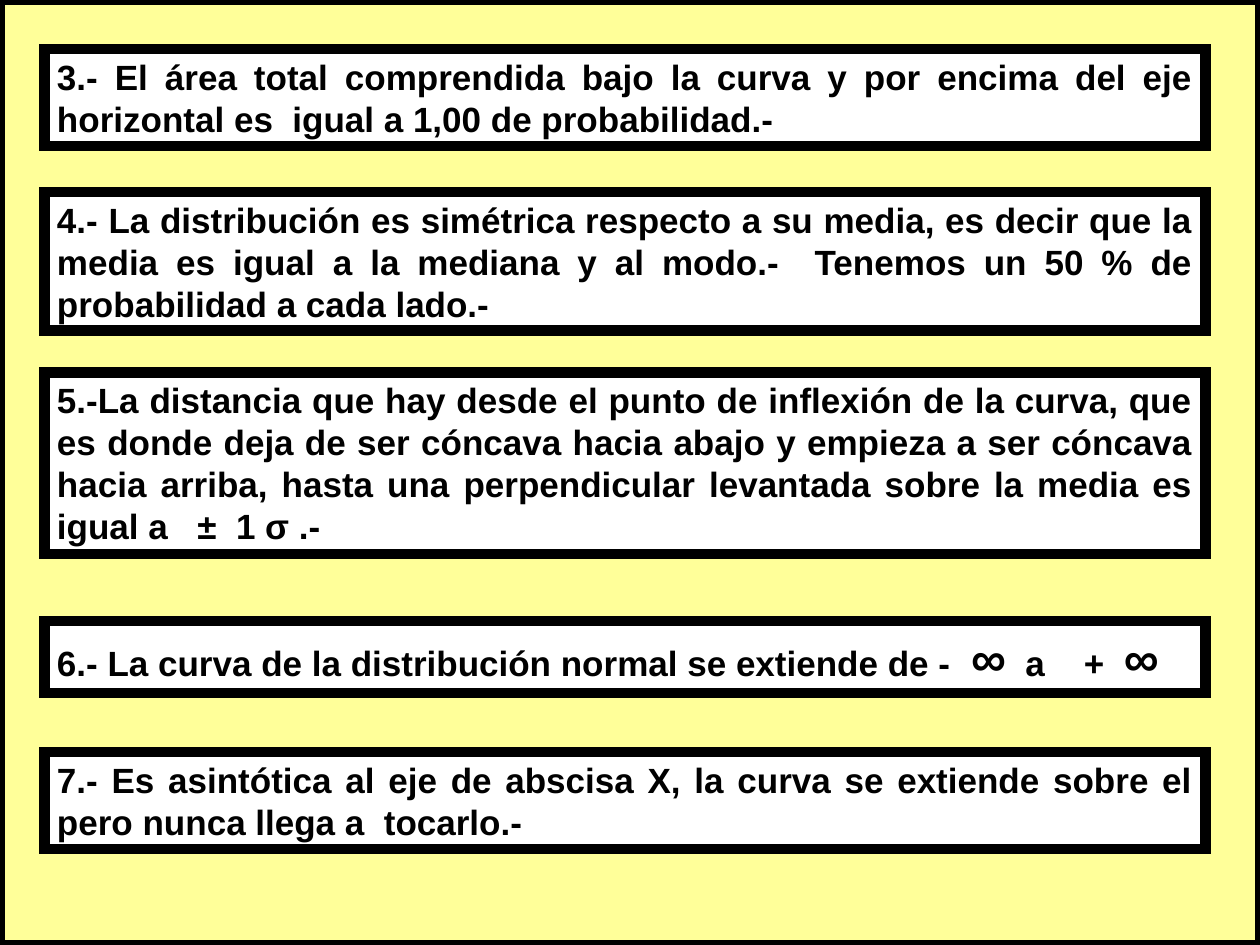
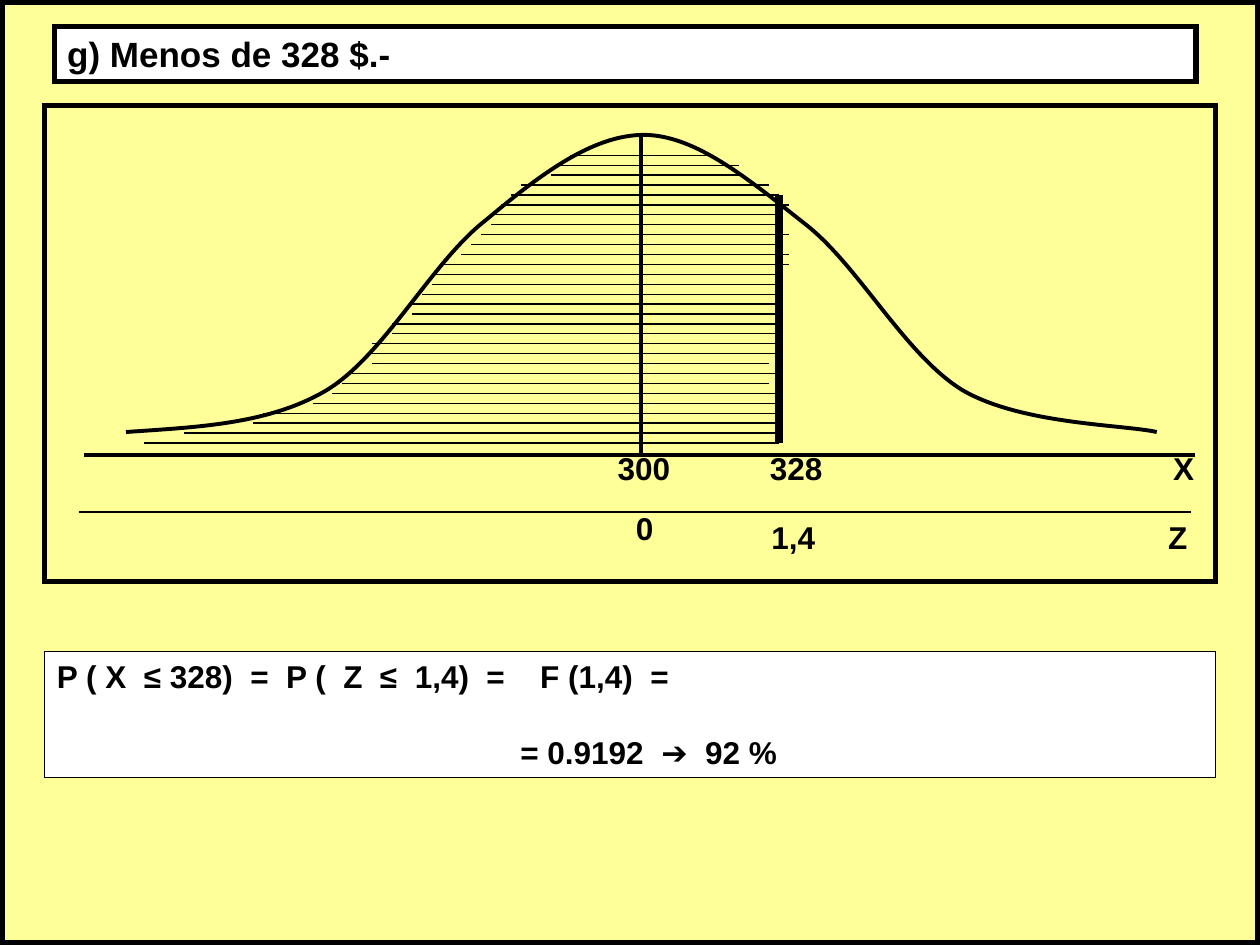
import pptx
import pptx.util
import pptx.dml.color
import pptx.enum.shapes
import pptx.enum.text
import pptx.oxml.ns
import lxml.etree

Cm, Pt = pptx.util.Cm, pptx.util.Pt
RGB = pptx.dml.color.RGBColor
KIND = pptx.enum.shapes.MSO_SHAPE
LINK = pptx.enum.shapes.MSO_CONNECTOR
ALIGN = pptx.enum.text.PP_ALIGN
FIT = pptx.enum.text.MSO_AUTO_SIZE
ANCHOR = pptx.enum.text.MSO_ANCHOR

# Shared look
YELLOW = RGB(0xFF, 0xFF, 0x99)
WHITE = RGB(0xFF, 0xFF, 0xFF)
BLACK = RGB(0, 0, 0)
FONT = "Arial"
WIDE, HIGH = 25.4, 19.05
LEFT = 0.9
BIG = {"∞": 28}

# Properties of the curve: top, height, tab stop, text runs
RULES = [
    (0.99, 1.96, None, ["3.- El área total comprendida bajo la curva y por encima del eje "
                        "horizontal es  igual a 1,00 de probabilidad.-"]),
    (3.87, 2.79, None, ["4.- La distribución es simétrica respecto a su media, es decir que la "
                        "media es igual a la mediana y al modo.-  Tenemos un 50 % de "
                        "probabilidad a cada lado.-"]),
    (7.51, 3.66, 2.83, ["5.-La distancia que hay desde el punto de inflexión de la curva, que "
                        "es donde deja de ser cóncava hacia abajo y empieza a ser cóncava "
                        "hacia arriba, hasta una perpendicular levantada sobre la media es "
                        "igual a\t±  1 σ .-"]),
    (12.52, 1.45, 20.7, ["6.- La curva de la distribución normal se extiende de -  ", "∞",
                         "  a\t+  ", "∞"]),
    (15.16, 1.96, None, ["7.- Es asintótica al eje de abscisa X, la curva se extiende sobre el "
                         "pero nunca llega a  tocarlo.-"]),
]

# Worked case
TITLE = "g) Menos de 328 $.-"
SUM = "P ( X  ≤ 328)  =  P (  Z  ≤  1,4)  =\tF (1,4)  ="
RESULT = "= 0.9192  ➔  92 %"

# Labels: text, left, top, width
LABELS = [
    ("300", 12.2, 8.92, 1.62), ("328", 15.27, 8.92, 1.62), ("X", 23.4, 8.92, 0.95),
    ("0", 12.57, 10.13, 0.9), ("1,4", 15.3, 10.31, 1.4), ("Z", 23.3, 10.31, 0.92),
]

# Axes and limit: x1, y1, x2, y2, weight
LIMIT = 15.7
AXES = [
    (12.93, 2.72, 12.93, 9.18, 2.25), (1.7, 9.18, 24.08, 9.18, 2.25),
    (1.6, 10.32, 24, 10.32, 0.75), (LIMIT, 3.93, LIMIT, 8.93, 4.5),
]

# Bell: start, then two handles and an end for each arc
START = (2.54, 8.71)
ARCS = [
    ((3.96, 8.61), (5.41, 8.56), (6.58, 7.87)),
    ((7.75, 7.16), (8.71, 5.28), (9.78, 4.45)),
    ((10.82, 3.58), (11.91, 2.72), (12.98, 2.72)),
    ((14.02, 2.72), (15.11, 3.63), (16.21, 4.5)),
    ((17.3, 5.33), (18.24, 7.16), (19.41, 7.87)),
    ((20.6, 8.56), (22.66, 8.56), (23.32, 8.71)),
]

# Hatching: left end of each row, and the rows that miss the limit
ROW_TOP, ROW_GAP = 3.13, 0.2
ROWS = [11.5, 11.3, 11.1, 10.5, 10.3, 10.1, 9.9, 9.9, 9.7, 9.5, 9.3, 8.9, 8.7, 8.7, 8.5,
        8.3, 8.3, 7.9, 7.9, 7.5, 7.5, 7.5, 7.1, 6.9, 6.7, 6.3, 5.3, 5.1, 3.7, 2.9]
ENDS = {0: 14.3, 1: 14.9, 2: 14.9, 3: 15.5, 5: 15.9, 8: 15.9, 10: 15.9, 11: 15.9,
        21: 15.5, 23: 15.5}


def add_tag(parent, name, **attrs):
    return lxml.etree.SubElement(parent, pptx.oxml.ns.qn(name), **attrs)


def paint(shape, fill, weight):
    """Give a shape its fill and a black outline with sharp corners."""
    if fill is None:
        shape.fill.background()
    else:
        shape.fill.solid()
        shape.fill.fore_color.rgb = fill
    shape.line.color.rgb = BLACK
    shape.line.width = Pt(weight)
    add_tag(shape.line._get_or_add_ln(), "a:miter", lim="800000")


def add_box(slide, left, top, wide, high, fill, weight):
    box = slide.shapes.add_shape(KIND.RECTANGLE, Cm(left), Cm(top), Cm(wide), Cm(high))
    box.shadow.inherit = False
    paint(box, fill, weight)
    return box


def add_line(slide, x1, y1, x2, y2, weight):
    line = slide.shapes.add_connector(LINK.STRAIGHT, Cm(x1), Cm(y1), Cm(x2), Cm(y2))
    line.line.color.rgb = BLACK
    line.line.width = Pt(weight)
    add_tag(line._element.spPr, "a:effectLst")


def set_tab(para, stop):
    tabs = add_tag(para._p.get_or_add_pPr(), "a:tabLst")
    add_tag(tabs, "a:tab", pos=str(Cm(stop)), algn="l")


def style(para, size, align=ALIGN.LEFT):
    para.alignment = align
    for run in para.runs:
        font = run.font
        font.name, font.bold = FONT, True
        font.size = Pt(BIG.get(run.text, size))
        font.color.rgb = BLACK


def set_frame(shape, wrap=True, fit=FIT.SHAPE_TO_FIT_TEXT):
    frame = shape.text_frame
    frame.word_wrap = wrap
    frame.auto_size = fit
    frame.vertical_anchor = ANCHOR.TOP
    return frame


def add_slide(deck, layout):
    slide = deck.slides.add_slide(deck.slide_layouts[layout])
    add_box(slide, 0, 0, WIDE, HIGH, YELLOW, 6)
    return slide


def add_rules(deck):
    slide = add_slide(deck, 6)
    for top, high, stop, parts in RULES:
        box = add_box(slide, LEFT, top, 23.4, high, WHITE, 6)
        para = set_frame(box).paragraphs[0]
        if stop:
            set_tab(para, stop)
        for part in parts:
            para.add_run().text = part
        style(para, 20, ALIGN.JUSTIFY)


def add_bell(slide):
    """Lay out handles and ends, then join each three into one arc."""
    pen = slide.shapes.build_freeform(Cm(START[0]), Cm(START[1]))
    pen.add_line_segments([(Cm(x), Cm(y)) for arc in ARCS for x, y in arc], close=False)
    bell = pen.convert_to_shape()
    bell.shadow.inherit = False
    paint(bell, None, 2.25)
    legs = list(bell._element.iter(pptx.oxml.ns.qn("a:lnTo")))
    track = legs[0].getparent()
    for first in range(0, len(legs), 3):
        arc = add_tag(track, "a:cubicBezTo")
        for leg in legs[first:first + 3]:
            arc.append(leg[0])
            track.remove(leg)


def add_case(deck):
    slide = add_slide(deck, 5)

    # Title, raised above the page frame
    title = slide.shapes.title
    slide.shapes._spTree.append(title._element)
    title.left, title.top, title.width, title.height = Cm(1.1), Cm(0.53), Cm(23.01), Cm(1.12)
    paint(title, WHITE, 3)
    frame = set_frame(title, fit=FIT.NONE)
    frame.text = TITLE
    style(frame.paragraphs[0], 20, ALIGN.JUSTIFY)

    # Answer
    frame = set_frame(add_box(slide, LEFT, 13.13, 23.6, 2.54, WHITE, 0.75))
    first, second = frame.paragraphs[0], frame.add_paragraph()
    set_tab(first, 9.74)
    first.text, second.text = SUM, RESULT
    second._p.get_or_add_pPr().set("marL", str(Cm(9.34)))
    second.space_before = Pt(21.7)
    for para in (first, second):
        style(para, 18)

    # Plot
    add_box(slide, LEFT, 2.13, 23.6, 9.6, None, 3)
    add_bell(slide)
    for axis in AXES:
        add_line(slide, *axis)
    for row, left in enumerate(ROWS):
        y = ROW_TOP + row * ROW_GAP
        add_line(slide, left, y, ENDS.get(row, LIMIT), y, 0.75)
    for text, left, top, wide in LABELS:
        label = slide.shapes.add_textbox(Cm(left), Cm(top), Cm(wide), Cm(1.02))
        frame = set_frame(label, wrap=False)
        frame.text = text
        style(frame.paragraphs[0], 18)


def main():
    deck = pptx.Presentation()
    deck.slide_width, deck.slide_height = Cm(WIDE), Cm(HIGH)
    add_rules(deck)
    add_case(deck)
    deck.save("out.pptx")


if __name__ == "__main__":
    main()
